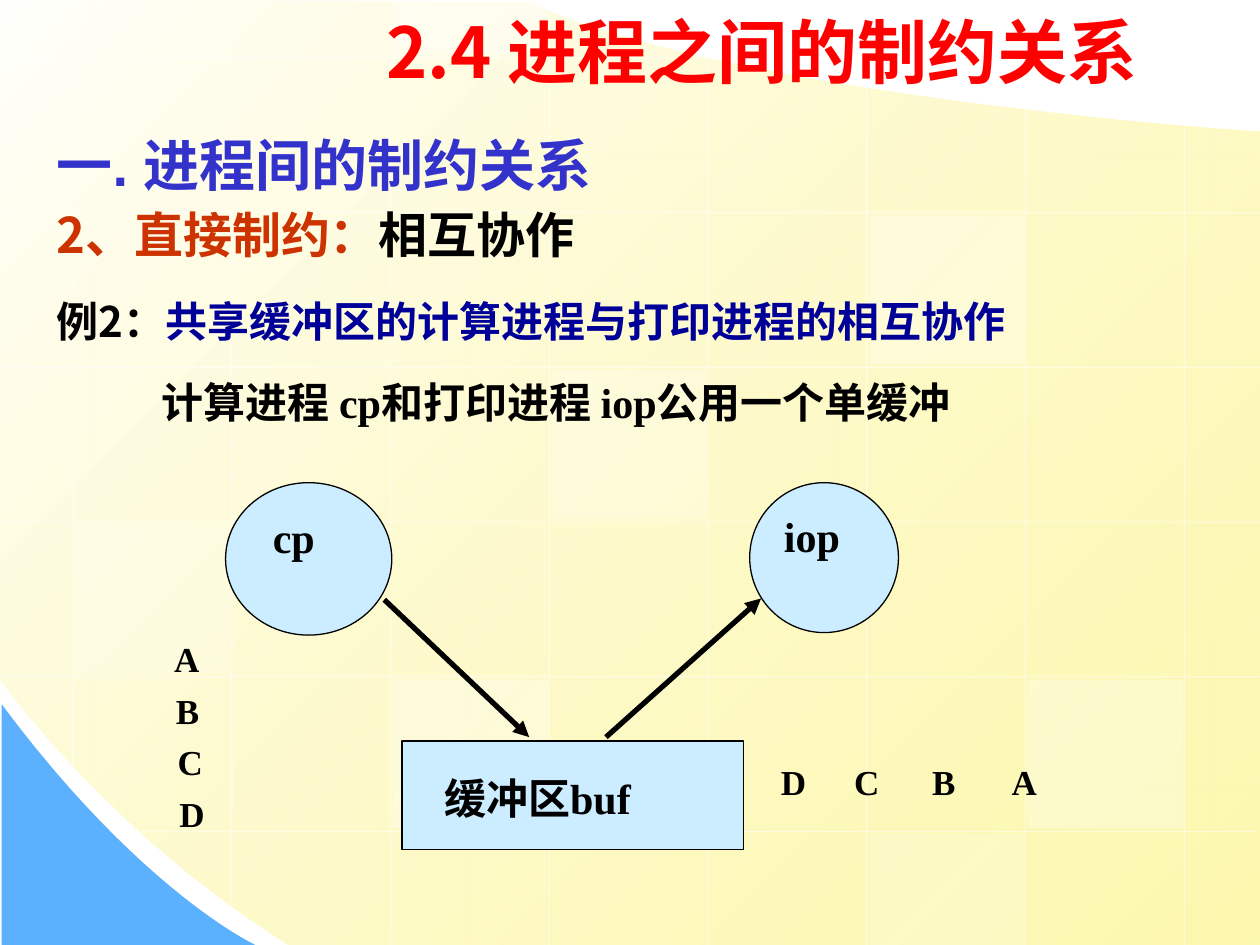
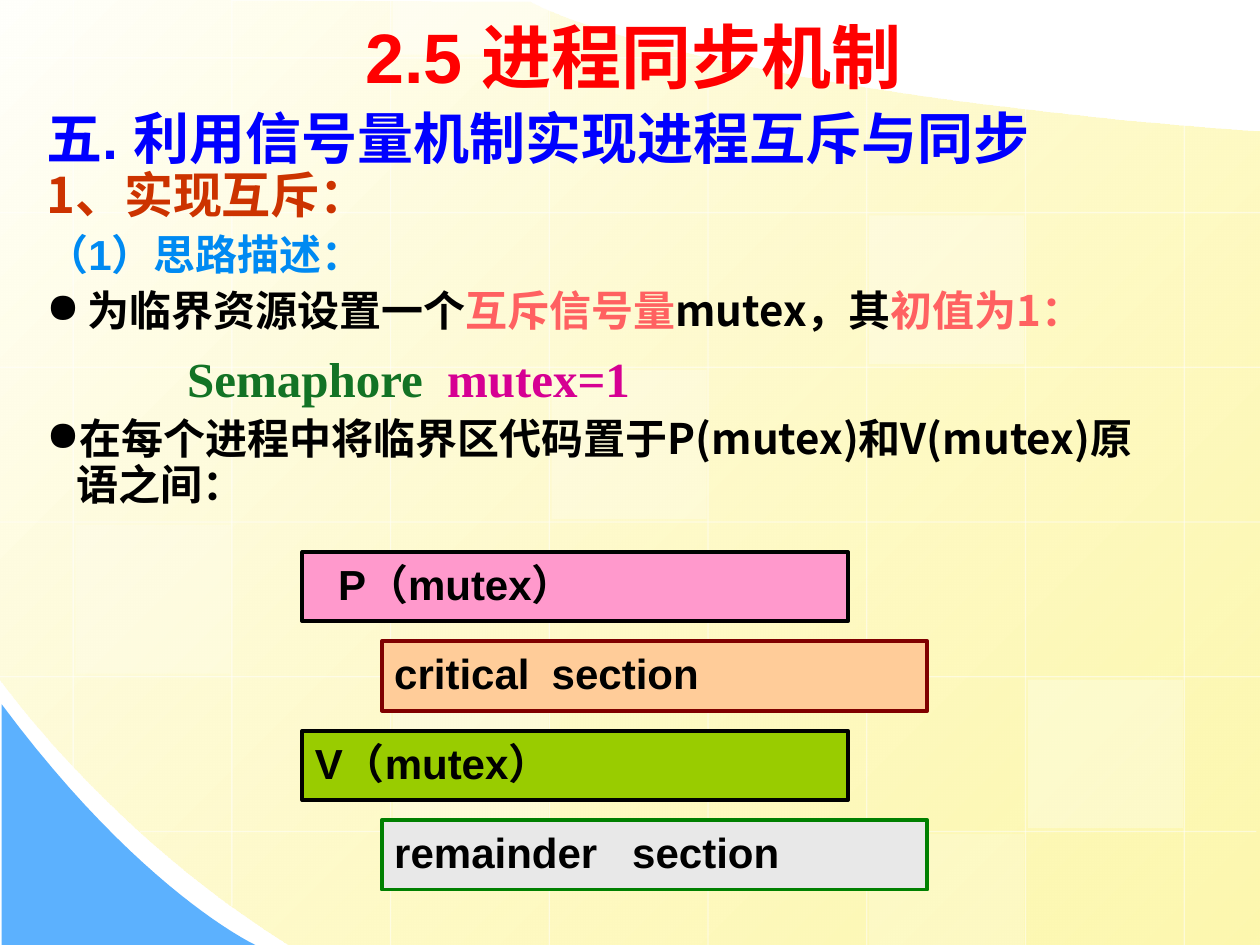
"""Build two lecture slides on process constraints and mutual exclusion."""
from math import comb
from lxml.etree import SubElement
from pptx import Presentation
from pptx.dml.color import RGBColor
from pptx.enum.shapes import MSO_CONNECTOR, MSO_SHAPE
from pptx.enum.text import MSO_ANCHOR
from pptx.oxml.ns import qn
from pptx.util import Pt

hue = RGBColor.from_string
ARIAL, NOTO, TIMES = "Arial", "Noto Sans CJK SC", "Times New Roman"
BLACK, WHITE, RED, RUST, CORAL = "000000", "FFFFFF", "FF0000", "CC3300", "FF6161"
PALE_BLUE = "CCECFF"
TOP, MIDDLE = MSO_ANCHOR.TOP, MSO_ANCHOR.MIDDLE
RECT, OVAL = MSO_SHAPE.RECTANGLE, MSO_SHAPE.OVAL


def rule(slide, start, end, color, weight):
    """Draw a straight line and return its connector."""
    line = slide.shapes.add_connector(
        MSO_CONNECTOR.STRAIGHT, *map(Pt, (*start, *end)))
    line.line.color.rgb = hue(color)
    line.line.width = Pt(weight)
    SubElement(line._element.spPr, qn("a:effectLst"))
    return line


def write(frame, anchor, paragraphs):
    """Fill a text frame with (layout, runs) paragraphs in bold type."""
    frame.word_wrap = True
    frame.vertical_anchor = anchor
    for index, (layout, runs) in enumerate(paragraphs):
        paragraph = frame.paragraphs[0] if index == 0 else frame.add_paragraph()
        props = paragraph._p.get_or_add_pPr()
        props.set("algn", "l")
        props.set("marL", str(Pt(layout.get("margin", 0))))
        if "bullet" in layout:
            props.set("indent", str(-Pt(layout["margin"])))
            tint = SubElement(props, qn("a:buClr"))
            SubElement(tint, qn("a:srgbClr"), val=BLACK)
            SubElement(props, qn("a:buChar"), char=layout["bullet"])
        if "tabs" in layout:
            stops = SubElement(props, qn("a:tabLst"))
            for stop in layout["tabs"]:
                SubElement(stops, qn("a:tab"), pos=str(Pt(stop)), algn="l")
        paragraph.line_spacing = layout.get("lines", 1.0)
        paragraph.space_before = Pt(layout.get("before", 0))
        for text, size, face, color in runs:
            run = paragraph.add_run()
            run.text = text
            run.font.size = Pt(size)
            run.font.bold = True
            run.font.name = face
            run.font.color.rgb = hue(color)
            SubElement(run._r.rPr, qn("a:ea"), typeface=NOTO)


deck = Presentation()
deck.slide_width, deck.slide_height = Pt(720), Pt(540)
blank = deck.slide_layouts[6]
for placeholder in list(blank.placeholders):
    blank.shapes._spTree.remove(placeholder._element)
relations, mutex = deck.slides.add_slide(blank), deck.slides.add_slide(blank)

field_edge = [(720, 75)], [
    [(720, 540)], [(165.6, 540)], [(62, 476), (0, 388), (0, 388)],
    [(-1, -1)], [(303, 1)], [(303, 1), (387, 50), (720, 75)]]
wave_edge = [(1, 402.5)], [
    [(1, 540)], [(146, 540)], [(146, 540), (81, 510), (1, 402.5)]]
areas = []
for (pen,), segments in (field_edge, wave_edge):
    outline = relations.shapes.build_freeform(*map(Pt, pen), scale=1.0)
    for segment in segments:
        controls, degree = [pen, *segment], len(segment)
        steps = 1 if degree == 1 else 24
        points = [
            [Pt(sum(comb(degree, i) * (1 - s / steps) ** (degree - i)
                    * (s / steps) ** i * control[axis]
                    for i, control in enumerate(controls))) for axis in (0, 1)]
            for s in range(1, steps + 1)]
        outline.add_line_segments(points, close=False)
        pen = segment[-1]
    outline.add_line_segments([], close=True)
    area = outline.convert_to_shape()
    area.shadow.inherit = False
    area.line.fill.background()
    areas.append(area)
field, wave = areas
field.fill.gradient()
field.fill.gradient_angle = 315
for stop, color in zip(field.fill.gradient_stops, ("FFFFFB", "FDF58D")):
    stop.color.rgb = hue(color)
wave.fill.solid()
wave.fill.fore_color.rgb = hue("5CB1FE")
far_stop = list(field._element.iter(qn("a:srgbClr")))[-1]
SubElement(far_stop, qn("a:alpha"), val="70000")

GRID_X, GRID_Y, STEP_X, STEP_Y = 41.8, 33.1, 90.7, 88.4
column_spans = [(0, 438.5), (0, 517.7), (0, 540), (0, 540),
                (31, 540), (49, 540), (61, 540), (70.5, 540)]
row_spans = [(0, 409)] + [(0, 720)] * 4 + [(80, 718)]
veils = []
for column, (top, bottom) in enumerate(column_spans):
    x = GRID_X + STEP_X * column
    veils.append((rule(relations, (x, top), (x, bottom), WHITE, 0.75), 50))
for row, (left, right) in enumerate(row_spans):
    y = GRID_Y + STEP_Y * row
    veils.append((rule(relations, (left, y), (right, y), WHITE, 0.75), 50))

for column, row, opacity in ((3, 2, 25), (6, 4, 30), (0, 3, 20), (5, 5, 20),
                             (2, -1, 40), (2, 4, 30), (5, 1, 30)):
    left, y = GRID_X + STEP_X * column + 1.4, GRID_Y + STEP_Y * row + 1.6
    top, bottom = max(0, y), min(540, y + 85)
    tile = relations.shapes.add_shape(
        RECT, *map(Pt, (left, top, 88.6, bottom - top)))
    tile.shadow.inherit = False
    tile.fill.solid()
    tile.fill.fore_color.rgb = hue(WHITE)
    tile.line.fill.background()
    veils.append((tile, opacity))
for veil, opacity in veils:
    for tint in veil._element.iter(qn("a:srgbClr")):
        SubElement(tint, qn("a:alpha"), val=str(opacity * 1000))
for backdrop in list(relations.shapes):
    blank.shapes._spTree.append(backdrop._element)

relations_body = [
    ({"lines": 0.9}, [("一. 进程间的制约关系", 32, ARIAL, "3333CC")]),
    ({"lines": 0.9, "before": 7}, [
        ("2、直接制约：", 28, NOTO, RUST), ("相互协作", 28, ARIAL, BLACK)]),
    ({"lines": 1.3, "before": 9}, [
        ("例2：", 24, NOTO, BLACK),
        ("共享缓冲区的计算进程与打印进程的相互协作", 24, TIMES, "000099")]),
    ({"lines": 1.3, "before": 9, "margin": 60}, [
        ("计算进程 cp和打印进程 iop公用一个单缓冲", 24, TIMES, BLACK)]),
]
mutex_body = [
    ({"lines": 0.9}, [("1、实现互斥：", 28, NOTO, RUST)]),
    ({"lines": 0.9, "before": 6}, [("（1）思路描述：", 24, ARIAL, "008AF2")]),
    ({"lines": 0.9, "before": 6, "bullet": "●", "margin": 23.5}, [
        ("为临界资源设置一个", 24, NOTO, BLACK), ("互斥信号量", 24, NOTO, CORAL),
        ("mutex，其", 24, NOTO, BLACK), ("初值为1：", 24, NOTO, CORAL)]),
    ({"lines": 0.9, "before": 11, "tabs": (80.5, 229)}, [
        ("\tSemaphore\t", 28, TIMES, "137325"), ("mutex=1", 28, TIMES, "D60093")]),
    ({"lines": 0.9, "before": 6, "bullet": "●", "margin": 17.3}, [
        ("在每个进程中将临界区代码置于P(mutex)和V(mutex)原语之间：",
         24, NOTO, BLACK)]),
]
passages = [
    (relations, (25.2, 75.6, 669, 425.5), TOP, relations_body),
    (relations, (213.8, 2.9, 476, 51.8), MIDDLE,
     [({}, [("2.4 进程之间的制约关系", 40, NOTO, RED)])]),
    (mutex, (19.4, 52.6, 663, 56.2), MIDDLE,
     [({"lines": 0.9}, [("五. 利用信号量机制实现进程互斥与同步", 32, ARIAL, "0000FF")])]),
    (mutex, (19.4, 94.3, 658, 204.5), TOP, mutex_body),
    (mutex, (201.6, 3.6, 345.6, 56.2), MIDDLE,
     [({}, [("2.5 进程同步机制", 40, ARIAL, RED)])]),
]
produced = [(item, 92.4 + i, 360.7 + 29.5 * i) for i, item in enumerate("ABCD")]
printed = [(item, left, 431.3)
           for item, left in zip("DCBA", (439.2, 481, 525.6, 571))]
for item, left, top in produced + printed:
    passages.append((relations, (left, top, 72, 31.7), TOP,
                     [({}, [(item, 20, TIMES, BLACK)])]))
for slide, place, anchor, paragraphs in passages:
    passage = slide.shapes.add_textbox(*map(Pt, place))
    write(passage.text_frame, anchor, paragraphs)

stages = [
    (relations, RECT, (229.7, 423.4, 195.1, 61.9), PALE_BLUE, BLACK, 0.75,
     {"lines": 1.5, "margin": 17}, "缓冲区buf", TIMES),
    (relations, OVAL, (428.4, 275.8, 85, 85.7), PALE_BLUE, BLACK, 0.75,
     {}, "iop", TIMES),
    (relations, OVAL, (128.9, 275.8, 95, 87.1), PALE_BLUE, BLACK, 0.75,
     {"margin": 6}, "cp", TIMES),
]
steps = [
    ("FF99CC", BLACK, {"margin": 13.3}, "P（mutex）"),
    ("FFCC99", "800000", {"tabs": (90,)}, "critical\tsection"),
    ("99CC00", BLACK, {}, "V（mutex）"),
    ("E8E8E8", "008000", {"tabs": (136,)}, "remainder\tsection"),
]
for index, (color, edge, layout, label) in enumerate(steps):
    place = 172.8 + 45.4 * (index % 2), 315.4 + 51.1 * index, 311.8, 39.6
    stages.append((mutex, RECT, place, color, edge, 2.25, layout, label, ARIAL))
for slide, outline, place, color, edge, weight, layout, label, face in stages:
    stage = slide.shapes.add_shape(outline, *map(Pt, place))
    stage.shadow.inherit = False
    stage.fill.solid()
    stage.fill.fore_color.rgb = hue(color)
    stage.line.color.rgb = hue(edge)
    stage.line.width = Pt(weight)
    write(stage.text_frame, TOP, [(layout, [(label, 24, face, BLACK)])])

for start, end in (((219.6, 342.7), (302.4, 421.2)),
                   ((346.3, 421.2), (434.9, 342))):
    flow = rule(relations, start, end, BLACK, 3)
    SubElement(flow._element.spPr.find(qn("a:ln")), qn("a:tailEnd"), type="triangle")

deck.save("out.pptx")
